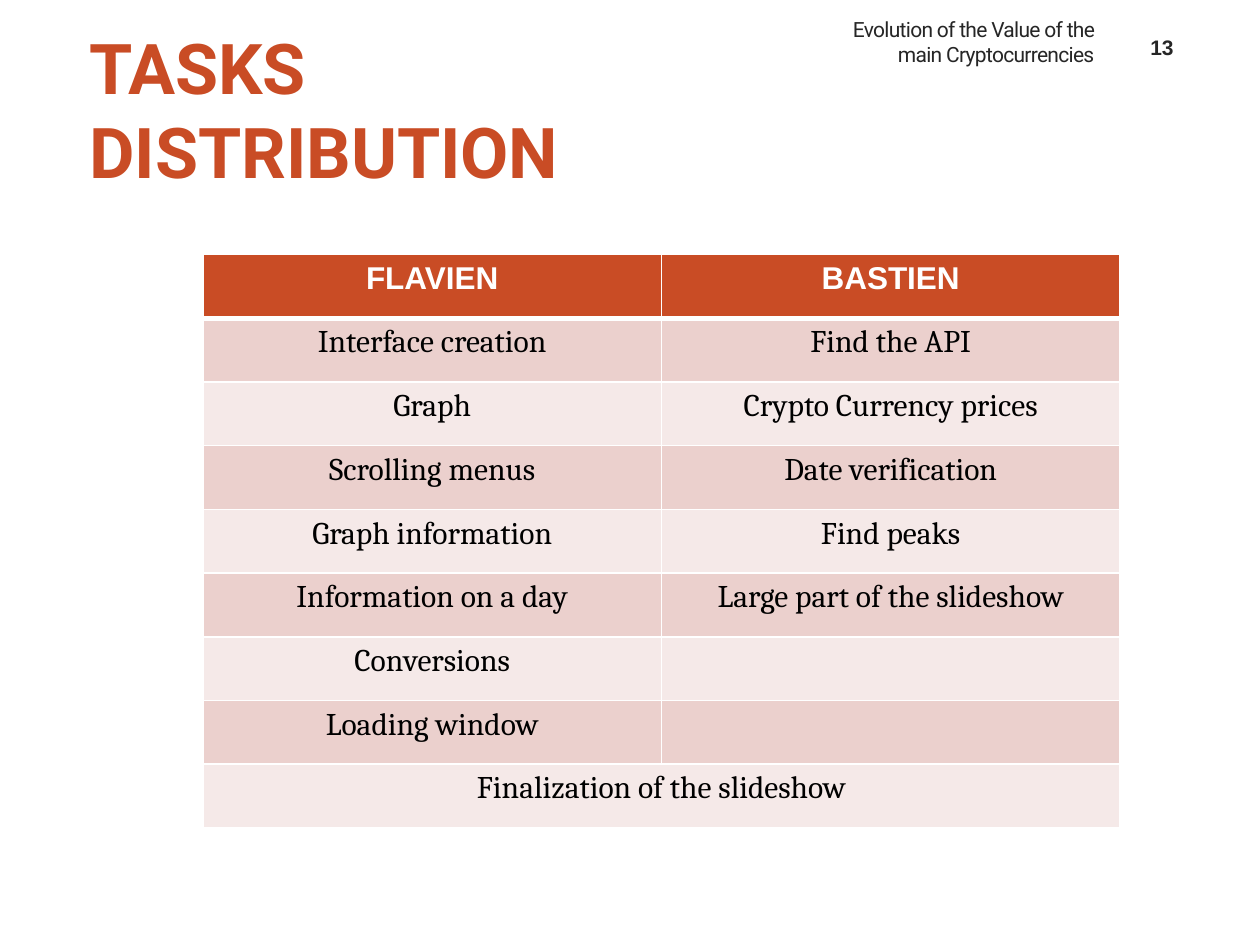
from dataclasses import dataclass

from lxml.etree import SubElement
from pptx import Presentation
from pptx.dml.color import RGBColor
from pptx.enum.text import MSO_ANCHOR, PP_ALIGN
from pptx.oxml.ns import qn
from pptx.util import Pt


@dataclass(frozen=True)
class Theme:
    accent: str = "C94C25"
    ink: str = "262626"
    body: str = "000000"
    white: str = "FFFFFF"
    bands: tuple = ("EBD0CD", "F5E9E8")
    title_size: float = 40
    table_size: float = 18
    header_size: float = 12
    thin_rule: float = 1
    thick_rule: float = 3


THEME = Theme()

TASKS = [
    ("FLAVIEN", "BASTIEN"),
    ("Interface creation", "Find the API"),
    ("Graph", "Crypto Currency prices"),
    ("Scrolling menus", "Date verification"),
    ("Graph information", "Find peaks"),
    ("Information on a day", "Large part of the slideshow"),
    ("Conversions", ""),
    ("Loading window", ""),
    ("Finalization of the slideshow", ""),
]


def apply(target, values):
    for name, value in values.items():
        setattr(target, name, value)


def write(frame, words, align, color, **font):
    """Put one formatted paragraph in a text frame and return its paragraph."""
    paragraph = frame.paragraphs[0]
    paragraph.alignment = align
    run = paragraph.add_run()
    run.text = words
    apply(run.font, font)
    run.font.color.rgb = RGBColor.from_string(color)
    return paragraph


def add_label(slide, box, frame_format):
    frame = slide.shapes.add_textbox(*map(Pt, box)).text_frame
    apply(frame, {"word_wrap": True, **frame_format})
    return frame


def add_header(slide, left, top, width, height):
    """Running title on the left of the box, page number on its right."""
    number_width = 40
    running = add_label(
        slide, (left, top, 225, height),
        {"vertical_anchor": MSO_ANCHOR.BOTTOM, "margin_left": Pt(76)},
    )
    paragraph = write(
        running, "Evolution of the Value of the main Cryptocurrencies",
        PP_ALIGN.RIGHT, THEME.ink, name="Roboto", size=Pt(THEME.header_size),
    )
    paragraph.runs[0].font._element.set("spc", "-40")

    number = add_label(
        slide, (left + width - number_width, top + 5, number_width, 24),
        {"vertical_anchor": MSO_ANCHOR.BOTTOM},
    )
    write(number, "13", PP_ALIGN.CENTER, THEME.ink,
          name="Arial", size=Pt(THEME.header_size), bold=True)


def add_title(slide, left, top, width, height):
    frame = add_label(
        slide, (left, top, width, height),
        {"vertical_anchor": MSO_ANCHOR.MIDDLE,
         "margin_left": Pt(14.4), "margin_right": 0},
    )
    write(frame, "TASKS DISTRIBUTION", PP_ALIGN.LEFT, THEME.accent,
          name="Roboto", size=Pt(THEME.title_size), bold=True)


def set_borders(cell, widths):
    properties = cell._tc.get_or_add_tcPr()
    for side, width in widths.items():
        line = SubElement(properties, qn(f"a:ln{side}"), w=str(Pt(width)))
        fill = SubElement(line, qn("a:solidFill"))
        SubElement(fill, qn("a:srgbClr"), val=THEME.white)


def add_task_table(slide, left, top, width, height):
    row_count, column_count = len(TASKS), len(TASKS[0])
    table = slide.shapes.add_table(
        row_count, column_count, Pt(left), Pt(top), Pt(width), Pt(height)
    ).table
    for column in table.columns:
        column.width = Pt(width / column_count)
    for row in table.rows:
        row.height = Pt(height / row_count)

    heading = {"color": THEME.white, "name": "Arial", "bold": True}
    body = {"color": THEME.body, "name": "Cambria", "bold": False}
    for row_index, tasks in enumerate(TASKS):
        is_heading = row_index == 0
        band = THEME.accent if is_heading else THEME.bands[(row_index - 1) % 2]
        for column_index, task in enumerate(tasks):
            cell = table.cell(row_index, column_index)
            # The heading row is closed by a thicker rule
            set_borders(cell, {
                "L": THEME.thin_rule,
                "R": THEME.thin_rule,
                "T": THEME.thick_rule if row_index == 1 else THEME.thin_rule,
                "B": THEME.thick_rule if is_heading else THEME.thin_rule,
            })
            cell.fill.solid()
            cell.fill.fore_color.rgb = RGBColor.from_string(band)
            if task:
                write(cell.text_frame, task, PP_ALIGN.CENTER,
                      size=Pt(THEME.table_size),
                      **(heading if is_heading else body))

    # The last task is shared by both people
    last = row_count - 1
    table.cell(last, 0).merge(table.cell(last, column_count - 1))


def main():
    presentation = Presentation()
    apply(presentation, {"slide_width": Pt(720), "slide_height": Pt(540)})
    slide = presentation.slides.add_slide(presentation.slide_layouts[6])
    add_header(slide, 407.5, 8.6, 276.5, 33)
    add_title(slide, 36.7, 37.4, 311.8, 49.7)
    add_task_table(slide, 116, 145.5, 524, 327.6)
    presentation.save("out.pptx")


if __name__ == "__main__":
    main()
